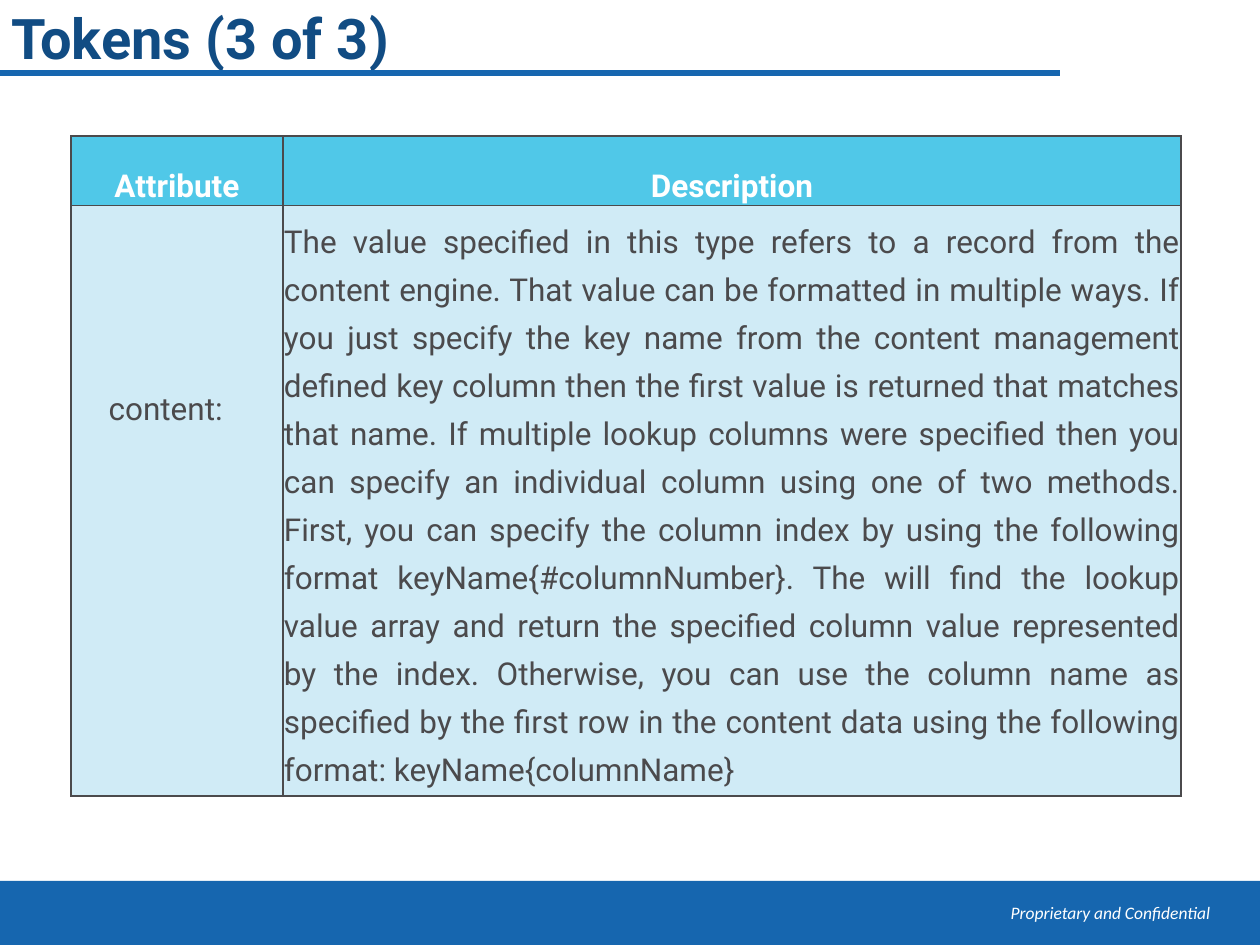
from lxml import etree
from pptx import Presentation
from pptx.dml.color import RGBColor
from pptx.enum.shapes import MSO_CONNECTOR, MSO_SHAPE
from pptx.enum.text import MSO_ANCHOR, MSO_AUTO_SIZE, PP_ALIGN
from pptx.oxml.ns import qn
from pptx.util import Pt

LEFT, CENTER, RIGHT, JUSTIFY = (
    PP_ALIGN.LEFT, PP_ALIGN.CENTER, PP_ALIGN.RIGHT, PP_ALIGN.JUSTIFY)
TOP, MIDDLE, BOTTOM = MSO_ANCHOR.TOP, MSO_ANCHOR.MIDDLE, MSO_ANCHOR.BOTTOM

BLUE = RGBColor(0x16, 0x66, 0xAF)
NAVY = RGBColor(0x11, 0x4C, 0x83)
CYAN = RGBColor(0x50, 0xC8, 0xE8)
PALE = RGBColor(0xD0, 0xEB, 0xF6)
GRAY = RGBColor(0x4B, 0x4A, 0x4C)
WHITE = RGBColor(0xFF, 0xFF, 0xFF)

SLIDE_W, SLIDE_H = 720, 540
FOOTER_H = 36.6

DESCRIPTION = (
    "The value specified in this type refers to a record from the content "
    "engine. That value can be formatted in multiple ways. If you just specify "
    "the key name from the content management defined key column then the first "
    "value is returned that matches that name. If multiple lookup columns were "
    "specified then you can specify an individual column using one of two "
    "methods. First, you can specify the column index by using the following "
    "format keyName{#columnNumber}. The will find the lookup value array and "
    "return the specified column value represented by the index. Otherwise, you "
    "can use the column name as specified by the first row in the content data "
    "using the following format: keyName{columnName}")


def write(tf, text, size, color, align, font="Roboto", bold=False,
          italic=False, spacing=None):
    p = tf.paragraphs[0]
    p.text = text
    p.alignment = align
    p.line_spacing = spacing
    f = p.font
    f.name, f.size, f.bold, f.italic = font, Pt(size), bold, italic
    f.color.rgb = color


def add_footer(s):
    bar = s.shapes.add_shape(MSO_SHAPE.RECTANGLE, 0, Pt(SLIDE_H - FOOTER_H),
                             Pt(SLIDE_W), Pt(FOOTER_H))
    bar.shadow.inherit = False
    bar.fill.solid()
    bar.fill.fore_color.rgb = BLUE
    bar.line.fill.background()
    tf = s.shapes.add_textbox(Pt(529), Pt(512), Pt(169.5), Pt(23)).text_frame
    tf.word_wrap = True
    write(tf, "Proprietary and Confidential", 10, WHITE, RIGHT,
          font="Calibri", italic=True)


def add_title(s, text):
    title = s.shapes.title
    title.left, title.top = Pt(-0.8), Pt(1.5)
    title.width, title.height = Pt(618.5), Pt(44.6)
    tf = title.text_frame
    tf.auto_size = MSO_AUTO_SIZE.NONE
    tf.vertical_anchor = MIDDLE
    write(tf, text, 32, NAVY, LEFT, bold=True, spacing=0.88)


def add_title_rule(s):
    rule = s.shapes.add_connector(MSO_CONNECTOR.STRAIGHT, 0, Pt(41.8),
                                  Pt(606), Pt(41.8))
    rule.line.color.rgb = BLUE
    rule.line.width = Pt(3)
    etree.SubElement(rule._element.spPr, qn("a:effectLst"))


def add_borders(cell):
    tcPr = cell._tc.get_or_add_tcPr()
    for side in ("lnL", "lnR", "lnT", "lnB"):
        ln = etree.SubElement(tcPr, qn(f"a:{side}"), w=str(Pt(1)))
        fill = etree.SubElement(ln, qn("a:solidFill"))
        etree.SubElement(fill, qn("a:srgbClr"), val=str(GRAY))


def format_cell(cell, fill, anchor, top=0.7, right=0.7):
    add_borders(cell)
    cell.fill.solid()
    cell.fill.fore_color.rgb = fill
    cell.vertical_anchor = anchor
    cell.margin_left, cell.margin_right = Pt(0.7), Pt(right)
    cell.margin_top, cell.margin_bottom = Pt(top), 0


def add_token_table(s):
    widths, heights = (121, 513.4), (39.6, 329)
    table = s.shapes.add_table(2, 2, Pt(40.6), Pt(77.8), Pt(sum(widths)),
                               Pt(sum(heights))).table
    table.first_row = table.horz_banding = False
    for col, width in zip(table.columns, widths):
        col.width = Pt(width)
    for row, height in zip(table.rows, heights):
        row.height = Pt(height)

    # Header row
    for i, heading in enumerate(("Attribute", "Description")):
        cell = table.cell(0, i)
        format_cell(cell, CYAN, BOTTOM)
        write(cell.text_frame, heading, 18, WHITE, CENTER, bold=True)

    # Token name, lowered by its top margin, and its description
    name, description = table.cell(1, 0), table.cell(1, 1)
    format_cell(name, PALE, TOP, top=106, right=13.5)
    write(name.text_frame, "content:", 18, GRAY, CENTER)
    format_cell(description, PALE, MIDDLE)
    write(description.text_frame, DESCRIPTION, 18, GRAY, JUSTIFY, spacing=1.3)


def main():
    prs = Presentation()
    prs.slide_width, prs.slide_height = Pt(SLIDE_W), Pt(SLIDE_H)
    s = prs.slides.add_slide(prs.slide_layouts[5])
    add_footer(s)
    add_title_rule(s)
    add_title(s, "Tokens (3 of 3)")
    add_token_table(s)
    prs.save("out.pptx")


if __name__ == "__main__":
    main()
